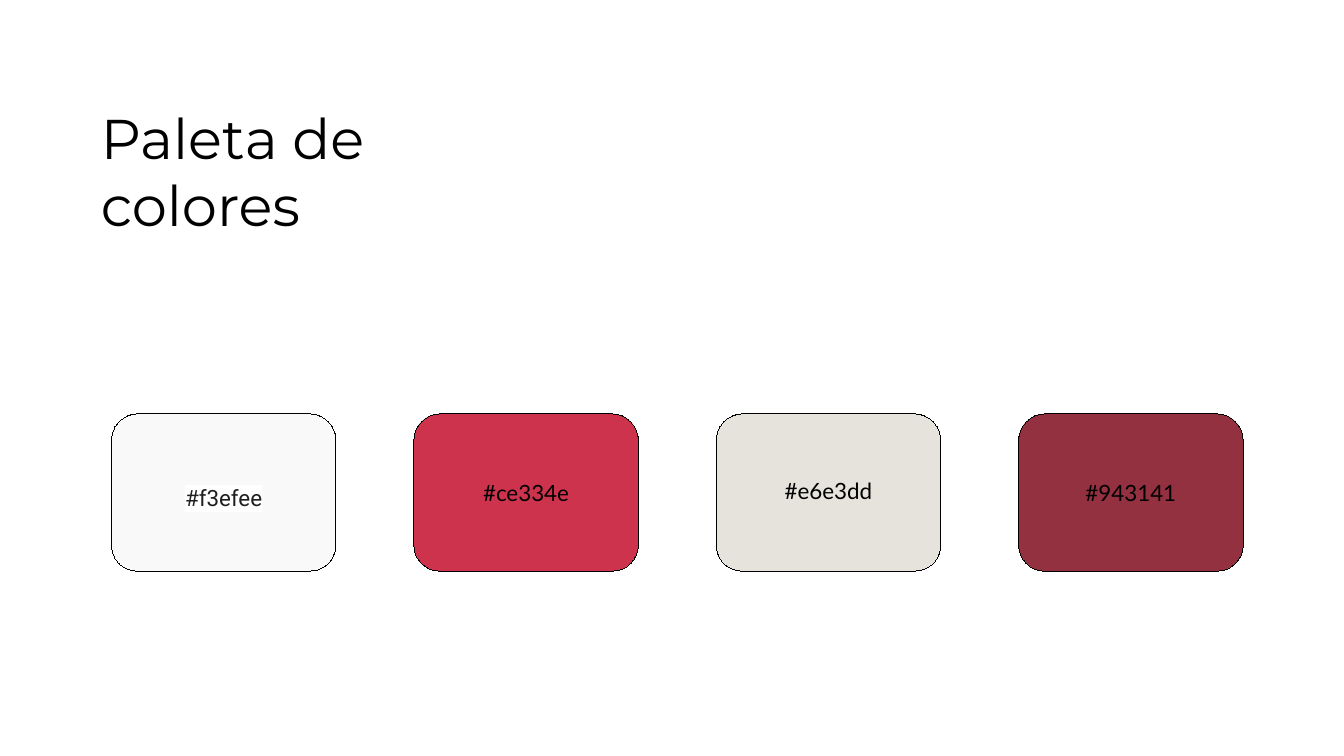
from lxml.etree import Element
from pptx import Presentation
from pptx.dml.color import RGBColor
from pptx.enum.shapes import MSO_SHAPE as Kind
from pptx.enum.text import MSO_ANCHOR as Anchor, MSO_AUTO_SIZE as Fit, PP_ALIGN as Align
from pptx.oxml.ns import qn
from pptx.util import Inches, Pt

PALE = {"name": "Roboto", "ink": "1F1F1F", "mark": "FFFFFF", "space": 1.35}
TONES = [
    ("F9F9F9", "#f3efee", PALE),
    ("CE334E", "#ce334e", {}),
    ("E6E3DD", "#e6e3dd", {"base": 0.13}),
    ("943141", "#943141", {}),
]


def tint(part, code):
    part.rgb = RGBColor.from_string(code)


def apply(item, style):
    for key, value in style.items():
        setattr(item, key, value)


def place(shape, box):
    sides = ("left", "top", "width", "height")
    apply(shape, dict(zip(sides, map(Inches, box))))


def frame(shape, anchor, base=0.1):
    pad = Inches(0.1)
    apply(shape.text_frame, {
        "word_wrap": True, "auto_size": Fit.NONE, "vertical_anchor": anchor,
        "margin_left": pad, "margin_right": pad,
        "margin_top": pad, "margin_bottom": Inches(base),
    })


def write(shape, text, size, name, ink, align, space=1.0):
    para = shape.text_frame.paragraphs[0]
    apply(para, {"alignment": align, "line_spacing": space})
    run = para.add_run()
    run.text = text
    tint(run.font.color, ink)
    apply(run.font, {"size": Pt(size), "name": name})
    return run


def mark(run, code):
    light = Element(qn("a:highlight"))
    light.append(Element(qn("a:srgbClr"), val=code))
    run._r.rPr.find(qn("a:latin")).addprevious(light)


def head(slide, box):
    title = slide.shapes.title
    place(title, box)
    frame(title, Anchor.BOTTOM)
    write(title, "Paleta de colores", 30, "Montserrat", "000000", Align.LEFT)


def swatch(slide, box, fill, label, style):
    card = slide.shapes.add_shape(Kind.ROUNDED_RECTANGLE, *map(Inches, box))
    card.shadow.inherit = False
    card.adjustments[0] = 0.167
    card.fill.solid()
    tint(card.fill.fore_color, fill)
    tint(card.line.color, "000000")
    card.line.width = Pt(0.01)
    frame(card, Anchor.MIDDLE, style.get("base", 0.1))
    run = write(card, label, 12, style.get("name", "Lato"),
                style.get("ink", "000000"), Align.CENTER, style.get("space", 1.0))
    if "mark" in style:
        mark(run, style["mark"])


def palette(slide, box):
    left, top, width, height = box
    wide = 1.67
    step = (width - wide) / (len(TONES) - 1)
    for i, tone in enumerate(TONES):
        swatch(slide, (left + i * step, top, wide, height), *tone)


def main():
    deck = Presentation()
    wide = Inches(10)
    apply(deck, {"slide_width": wide, "slide_height": wide * 9 // 16})
    slide = deck.slides.add_slide(deck.slide_layouts[5])
    slide.background.fill.solid()
    tint(slide.background.fill.fore_color, "FFFFFF")
    head(slide, (0.65, 1, 2.6, 0.87))
    palette(slide, (0.83, 3.08, 8.42, 1.17))
    deck.save("out.pptx")


if __name__ == "__main__":
    main()
